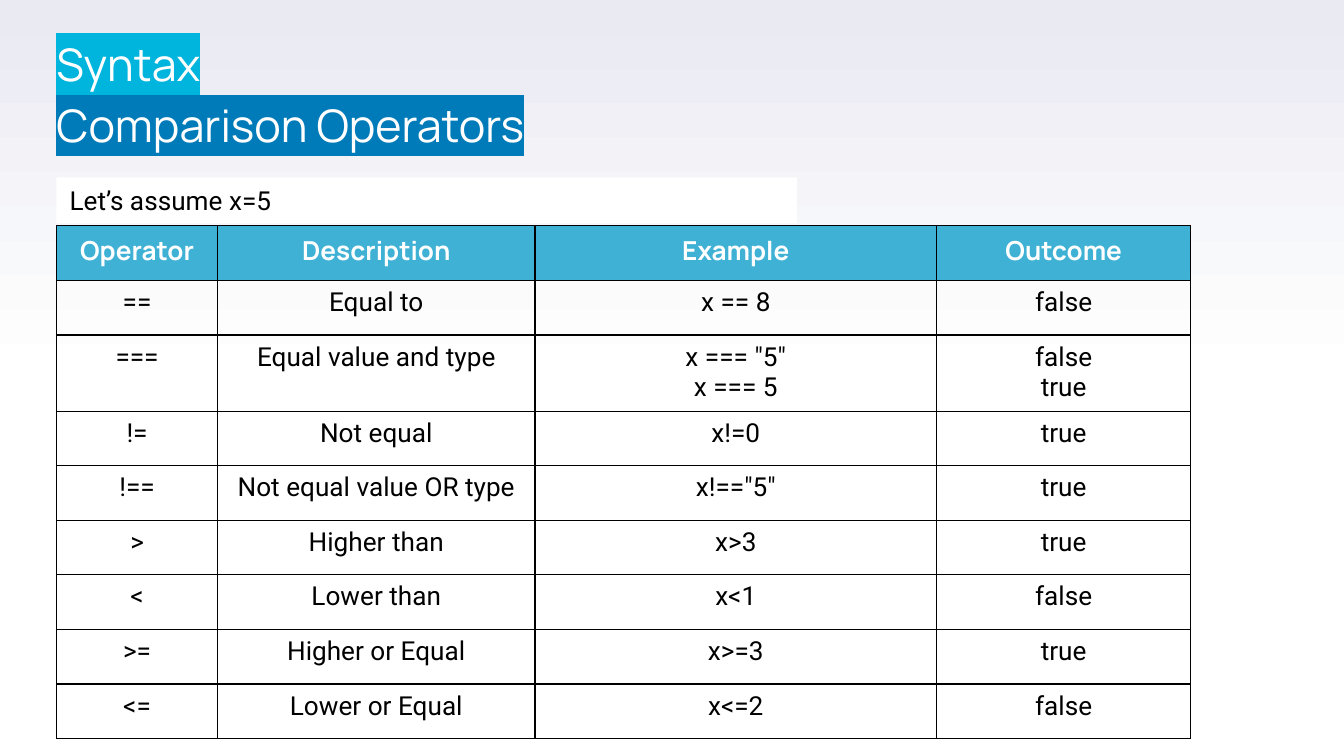
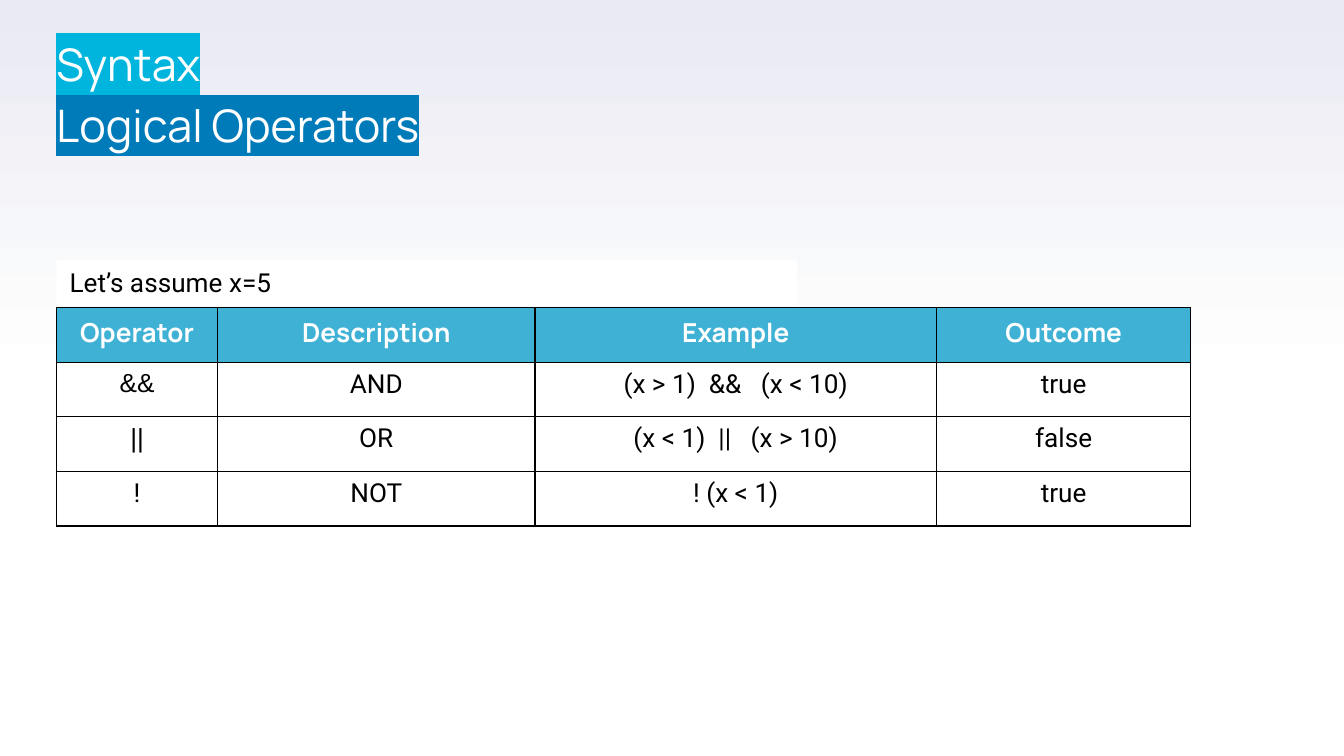
import copy

import lxml.etree
import pptx
import pptx.dml.color
import pptx.enum.shapes
import pptx.enum.text
import pptx.oxml.ns
import pptx.util

WHITE, BLACK, LAVENDER = "FFFFFF", "000000", "E9EAF2"
CYAN, BLUE, HEADER_BLUE = "00B5DD", "007BB9", "3EB1D5"
HEADING_FONT, BODY_FONT, SYMBOL_FONT = "Manrope", "Roboto", "Arial"

# Horizontal lengths are percent of the slide width, vertical ones of its height.
LEFT = 4.2
COLUMNS = [12, 23.6, 29.9, 18.9]
ROW = 7.22
NOTE_RISE, NOTE_HEIGHT = 6.4, 6.04

HEADINGS = ["Operator", "Description", "Example", "Outcome"]
SLIDES = [
    ("Comparison Operators", 29.87, [
        ["==", "Equal to", "x == 8", "false"],
        ["===", "Equal value and type", 'x === "5"\nx === 5', "false\ntrue"],
        ["!=", "Not equal", "x!=0", "true"],
        ["!==", "Not equal value OR type", 'x!=="5"', "true"],
        [">", "Higher than", "x>3", "true"],
        ["<", "Lower than", "x<1", "false"],
        [">=", "Higher or Equal", "x>=3", "true"],
        ["<=", "Lower or Equal", "x<=2", "false"],
    ]),
    ("Logical Operators", 40.71, [
        ["&&", "AND", "(x > 1)  &&   (x < 10)", "true"],
        ["||", "OR", "(x < 1)  ||   (x > 10)", "false"],
        ["!", "NOT", "! (x < 1)", "true"],
    ]),
]

colour = pptx.dml.color.RGBColor.from_string
qn = pptx.oxml.ns.qn

deck = pptx.Presentation()
deck.slide_width = pptx.util.Inches(10)
deck.slide_height = pptx.util.Inches(5.625)


def place(left, top, width, height):
    """Turn shares of the slide, in percent, into lengths."""
    across, down = deck.slide_width / 100, deck.slide_height / 100
    return [round(left * across), round(top * down), round(width * across), round(height * down)]


def style_text(frame, name, size, hex_colour, bold=False, align=pptx.enum.text.PP_ALIGN.LEFT):
    for para in frame.paragraphs:
        para.alignment = align
        for span in para.runs:
            span.font.name = name
            span.font.size = pptx.util.Pt(size)
            span.font.bold = bold
            span.font.color.rgb = colour(hex_colour)


for subject, table_top, operators in SLIDES:
    page = deck.slides.add_slide(deck.slide_layouts[6])

    # Background: white, rising into lavender at the top
    backdrop = page.background.fill
    backdrop.gradient()
    backdrop.gradient_angle = 90
    stop_list = page.element.find(".//" + qn("a:gsLst"))
    stop_list.append(copy.deepcopy(stop_list[-1]))
    for stop, position, shade in zip(backdrop.gradient_stops, [0, 0.5, 1], [WHITE, WHITE, LAVENDER]):
        stop.position = position
        stop.color.rgb = colour(shade)

    # Title with a highlight behind each line
    title = page.shapes.add_textbox(*place(LEFT, 3.73, 56.9, 17.42)).text_frame
    title.word_wrap = True
    title.margin_left = title.margin_top = title.margin_right = title.margin_bottom = 0
    title.text = f"Syntax\n{subject}"
    style_text(title, HEADING_FONT, 24, WHITE)
    for para, shade in zip(title.paragraphs, [CYAN, BLUE]):
        para.line_spacing = 1.15
        highlight = lxml.etree.Element(qn("a:highlight"))
        lxml.etree.SubElement(highlight, qn("a:srgbClr"), val=shade)
        para.runs[0].font.fill  # the highlight follows the text fill
        para.runs[0]._r.rPr.find(qn("a:solidFill")).addnext(highlight)

    # Operator table
    rows = [HEADINGS] + operators
    bounds = place(LEFT, table_top, sum(COLUMNS), ROW * len(rows))
    table = page.shapes.add_table(len(rows), len(COLUMNS), *bounds).table
    table.horz_banding = False
    for column, share in zip(table.columns, COLUMNS):
        column.width = place(0, 0, share, 0)[2]
    for r, texts in enumerate(rows):
        table.rows[r].height = place(0, 0, 0, ROW)[3]
        for c, text in enumerate(texts):
            cell = table.cell(r, c)
            cell.text_frame.text = text
            centre = pptx.enum.text.PP_ALIGN.CENTER
            if r == 0:
                cell.fill.solid()
                cell.fill.fore_color.rgb = colour(HEADER_BLUE)
                style_text(cell.text_frame, HEADING_FONT, 14, WHITE, True, centre)
            else:
                cell.fill.background()
                font = SYMBOL_FONT if text in ("&&", "||") else BODY_FONT
                style_text(cell.text_frame, font, 14, BLACK, False, centre)
            properties = cell._tc.get_or_add_tcPr()
            for i, side in enumerate(["a:lnL", "a:lnR", "a:lnT", "a:lnB"]):
                border = lxml.etree.Element(qn(side), w=str(pptx.util.Pt(0.75)))
                fill = lxml.etree.SubElement(border, qn("a:solidFill"))
                lxml.etree.SubElement(fill, qn("a:srgbClr"), val=BLACK)
                properties.insert(i, border)

    # Assumption above the table
    note = page.shapes.add_shape(
        pptx.enum.shapes.MSO_SHAPE.RECTANGLE,
        *place(LEFT, table_top - NOTE_RISE, 55.1, NOTE_HEIGHT))
    note.shadow.inherit = False
    note.fill.solid()
    note.fill.fore_color.rgb = colour(WHITE)
    note.line.fill.background()
    note.text_frame.word_wrap = True
    note.text_frame.auto_size = pptx.enum.text.MSO_AUTO_SIZE.SHAPE_TO_FIT_TEXT
    note.text_frame.vertical_anchor = pptx.enum.text.MSO_ANCHOR.TOP
    note.text_frame.text = "Let’s assume x=5"
    style_text(note.text_frame, BODY_FONT, 14, BLACK)

deck.save("out.pptx")
